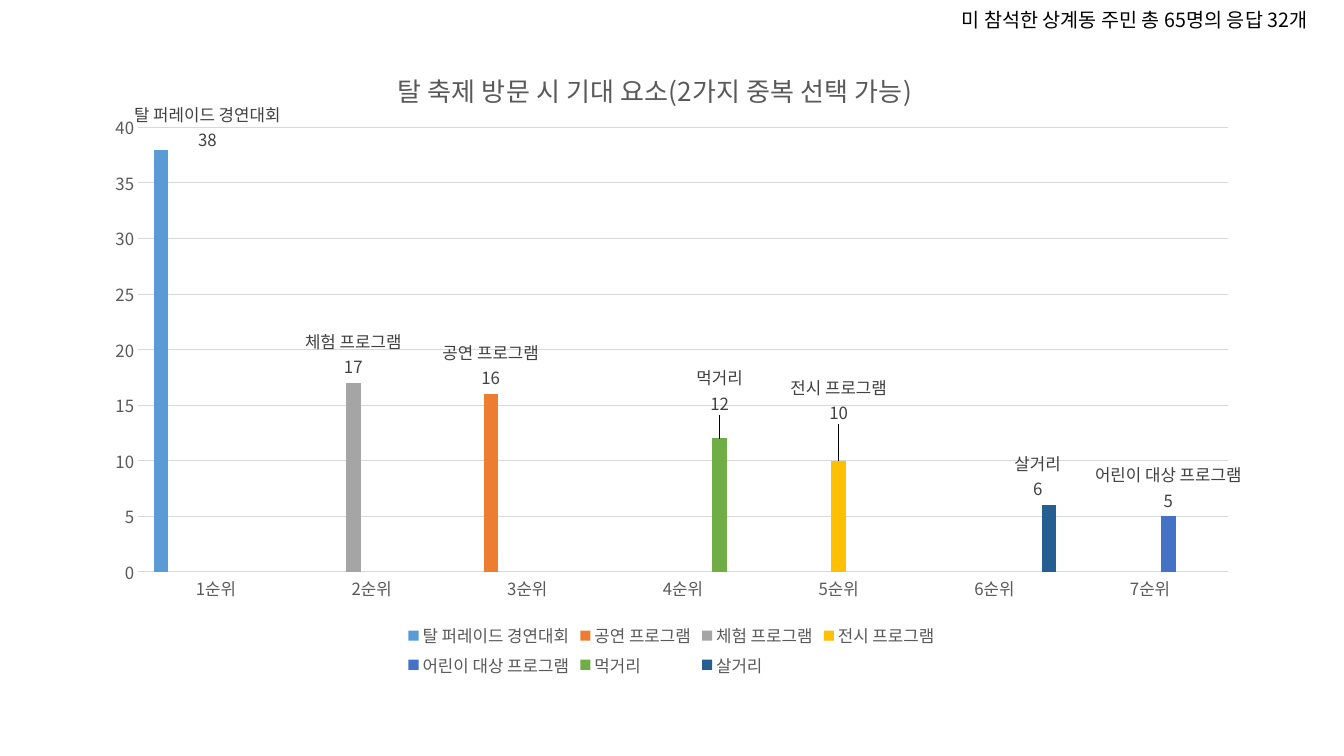
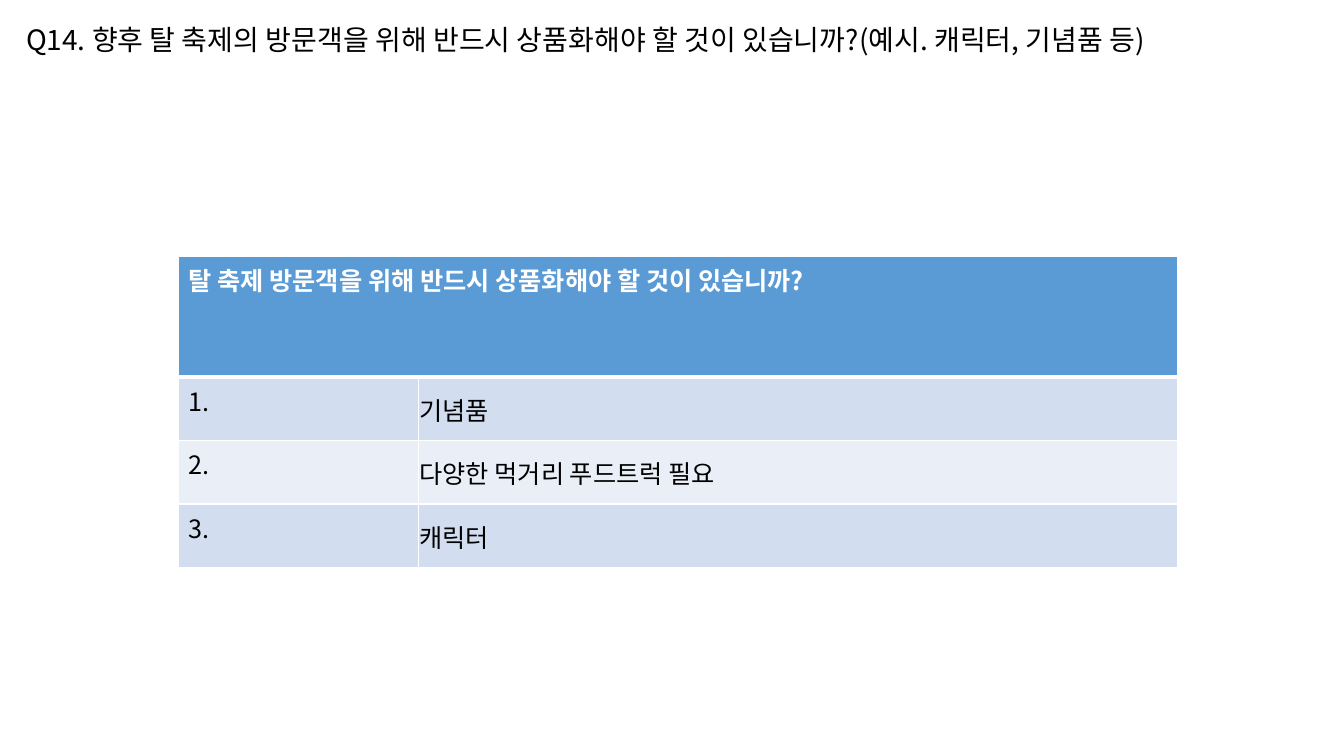
from copy import deepcopy

from lxml import etree
from pptx import Presentation
from pptx.chart.data import CategoryChartData
from pptx.dml.color import RGBColor
from pptx.enum.chart import XL_CHART_TYPE, XL_LABEL_POSITION, XL_LEGEND_POSITION, XL_TICK_MARK
from pptx.enum.text import MSO_ANCHOR, MSO_AUTO_SIZE
from pptx.oxml import parse_xml
from pptx.oxml.ns import nsdecls, qn
from pptx.util import Inches, Pt

COLUMNS = XL_CHART_TYPE.COLUMN_CLUSTERED
OUTSIDE_END = XL_LABEL_POSITION.OUTSIDE_END
BOTTOM = XL_LEGEND_POSITION.BOTTOM
NO_TICK = XL_TICK_MARK.NONE
MIDDLE = MSO_ANCHOR.MIDDLE
GROW = MSO_AUTO_SIZE.SHAPE_TO_FIT_TEXT

FONT = "Noto Sans CJK KR"
BLACK, WHITE, BLUE = "000000", "FFFFFF", "5B9BD5"
GREY, LABEL_GREY, GRID_GREY = "595959", "404040", "D9D9D9"
BANDS = ("D2DEEF", "EAEFF7")

RESPONSES = "미 참석한 상계동 주민 총 65명의 응답 32개"
CHART_TITLE = "탈 축제 방문 시 기대 요소(2가지 중복 선택 가능)"
RANKS = [f"{rank}순위" for rank in range(1, 8)]
# name, rank, answers, colour, label shift as shares of the chart
EXPECTATIONS = [
    ("탈 퍼레이드 경연대회", 1, 38, BLUE, (0.04, 0.01)),
    ("공연 프로그램", 3, 16, "ED7D31", None),
    ("체험 프로그램", 2, 17, "A5A5A5", None),
    ("전시 프로그램", 5, 10, "FFC000", (0, -0.05)),
    ("어린이 대상 프로그램", 7, 5, "4472C4", None),
    ("먹거리", 4, 12, "70AD47", (0, -0.03)),
    ("살거리", 6, 6, "255E91", (-0.01, 0)),
]

QUESTION = "Q14. 향후 탈 축제의 방문객을 위해 반드시 상품화해야 할 것이 있습니까?(예시. 캐릭터, 기념품 등)"
TABLE_HEADER = "탈 축제 방문객을 위해 반드시 상품화해야 할 것이 있습니까?"
PRODUCTS = ["기념품", "다양한 먹거리 푸드트럭 필요", "캐릭터"]
COLUMN_WIDTHS = (2.38, 7.53)
HEADER_HEIGHT, ROW_HEIGHT = 1.2, 0.63


def rgb(color):
    return RGBColor.from_string(color)


def set_font(font, size, color, bold=False):
    """Format a font, Korean letters included."""
    font.size, font.bold, font.name = Pt(size), bold, FONT
    font.color.rgb = rgb(color)
    etree.SubElement(font._element, qn("a:ea"), typeface=FONT)


def write(frame, text, size=18, color=BLACK, bold=False):
    run = frame.paragraphs[0].add_run()
    run.text = text
    set_font(run.font, size, color, bold)


def add_line_of_text(slide, text, left, top, width, height, size):
    box = slide.shapes.add_textbox(*map(Inches, (left, top, width, height)))
    box.text_frame.word_wrap = False
    box.text_frame.auto_size = GROW
    write(box.text_frame, text, size=size)


def manual_layout(inner=False, edge=True, **shares):
    """Layout element from x, y, w and h given as shares of the chart."""
    target = '<c:layoutTarget val="inner"/>' if inner else ""
    modes = '<c:xMode val="edge"/><c:yMode val="edge"/>' if edge else ""
    values = "".join(f'<c:{key} val="{value}"/>' for key, value in shares.items())
    return parse_xml(f'<c:layout {nsdecls("c")}><c:manualLayout>{target}{modes}'
                     f'{values}</c:manualLayout></c:layout>')


def replace_layout(parent, layout, position):
    for old in parent.findall(qn("c:layout")):
        parent.remove(old)
    parent.insert(position, layout)


def label_series(series, point, shift):
    labels = series.data_labels
    set_font(labels.font, 12, LABEL_GREY)
    labels.show_value = labels.show_series_name = True
    labels.position = OUTSIDE_END
    element = labels._element
    for leader in element.findall(qn("c:showLeaderLines")):
        element.remove(leader)
    etree.SubElement(element, qn("c:separator")).text = "\n"
    if shift:
        moved = parse_xml(f'<c:dLbl {nsdecls("c")}><c:idx val="{point}"/></c:dLbl>')
        moved.append(manual_layout(edge=False, x=shift[0], y=shift[1]))
        moved.extend([deepcopy(child) for child in element])
        element.insert(0, moved)


def style_axes(chart):
    for axis in (chart.category_axis, chart.value_axis):
        axis.major_tick_mark = axis.minor_tick_mark = NO_TICK
        set_font(axis.tick_labels.font, 12, GREY)
    values = chart.value_axis
    values.minimum_scale, values.maximum_scale, values.major_unit = 0, 40, 5
    values.format.line.fill.background()
    for line in (chart.category_axis.format.line, values.major_gridlines.format.line):
        line.color.rgb, line.width = rgb(GRID_GREY), Pt(0.75)


def add_expectation_chart(slide):
    data = CategoryChartData()
    data.categories = RANKS
    for name, rank, answers, *_ in EXPECTATIONS:
        data.add_series(name, [answers if place == rank else None
                               for place in range(1, len(RANKS) + 1)])
    area = map(Inches, (0.91, 0.37, 11.5, 6.39))
    chart = slide.shapes.add_chart(COLUMNS, *area, data).chart
    set_font(chart.font, 10, BLACK)

    chart.has_title = True
    write(chart.chart_title.text_frame, CHART_TITLE, size=18.6, color=GREY)
    chart.chart_title.include_in_layout = False
    replace_layout(chart.chart_title._element, manual_layout(x=0.26, y=0.04), 1)

    chart.has_legend = True
    chart.legend.position = BOTTOM
    chart.legend.include_in_layout = False
    set_font(chart.legend.font, 12, GREY)

    style_axes(chart)
    plot = chart.plots[0]
    plot.gap_width, plot.overlap, plot.vary_by_categories = 219, -27, False
    for series, (_, rank, _, color, shift) in zip(plot.series, EXPECTATIONS):
        series.format.fill.solid()
        series.format.fill.fore_color.rgb = rgb(color)
        label_series(series, rank - 1, shift)
    plot_area = chart._chartSpace.chart.plotArea
    replace_layout(plot_area, manual_layout(inner=True, x=0.04, y=0.14, w=0.94, h=0.69), 0)


def style_cell(cell, fill, top=1, bottom=1):
    """Fill a cell and give it white borders, widths in points."""
    properties = cell._tc.get_or_add_tcPr()
    for side, width in (("L", 1), ("R", 1), ("T", top), ("B", bottom)):
        properties.append(parse_xml(
            f'<a:ln{side} {nsdecls("a")} w="{Pt(width)}"><a:solidFill>'
            f'<a:srgbClr val="{WHITE}"/></a:solidFill></a:ln{side}>'))
    cell.fill.solid()
    cell.fill.fore_color.rgb = rgb(fill)


def add_product_table(slide):
    heights = [HEADER_HEIGHT] + [ROW_HEIGHT] * len(PRODUCTS)
    area = map(Inches, (1.77, 2.54, sum(COLUMN_WIDTHS), sum(heights)))
    table = slide.shapes.add_table(len(heights), len(COLUMN_WIDTHS), *area).table
    for column, width in zip(table.columns, COLUMN_WIDTHS):
        column.width = Inches(width)
    for row, height in zip(table.rows, heights):
        row.height = Inches(height)

    table.cell(0, 0).merge(table.cell(0, 1))
    write(table.cell(0, 0).text_frame, TABLE_HEADER, color=WHITE, bold=True)
    for cell in table.rows[0].cells:
        style_cell(cell, BLUE, bottom=3)
    for number, product in enumerate(PRODUCTS, 1):
        number_cell, product_cell = table.rows[number].cells
        for cell, text in ((number_cell, f"{number}."), (product_cell, product)):
            write(cell.text_frame, text)
            style_cell(cell, BANDS[(number - 1) % 2], top=3 if number == 1 else 1)
        product_cell.vertical_anchor = MIDDLE
        product_cell.margin_left = product_cell.margin_right = Inches(0.01)
        product_cell.margin_top, product_cell.margin_bottom = Inches(0.01), 0


def main():
    presentation = Presentation()
    presentation.slide_width, presentation.slide_height = Inches(13.33), Inches(7.5)
    blank = presentation.slide_layouts[6]

    chart_slide = presentation.slides.add_slide(blank)
    add_expectation_chart(chart_slide)
    add_line_of_text(chart_slide, RESPONSES, 9.44, 0.03, 3.89, 0.34, size=14)

    table_slide = presentation.slides.add_slide(blank)
    add_product_table(table_slide)
    add_line_of_text(table_slide, QUESTION, 0.16, 0.17, 12.59, 0.44, size=20)

    presentation.save("out.pptx")


if __name__ == "__main__":
    main()
